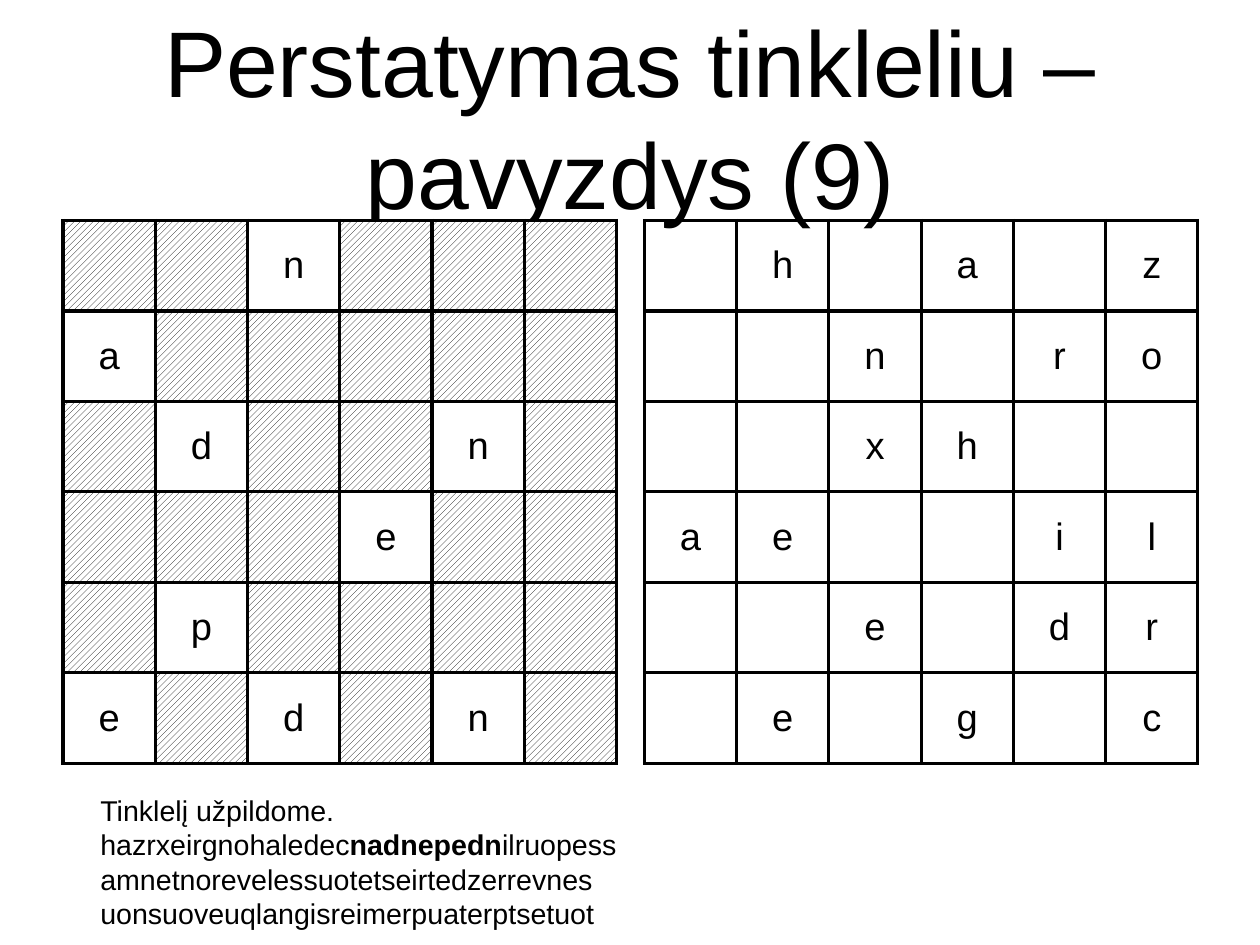
from lxml import etree
from pptx import Presentation
from pptx.dml.color import RGBColor
from pptx.enum.dml import MSO_PATTERN
from pptx.enum.text import MSO_ANCHOR, MSO_AUTO_SIZE, PP_ALIGN
from pptx.oxml.ns import qn
from pptx.util import Cm, Pt

CENTER = PP_ALIGN.CENTER
MIDDLE = MSO_ANCHOR.MIDDLE
NO_AUTOFIT = MSO_AUTO_SIZE.NONE
HATCH = MSO_PATTERN.WIDE_UPWARD_DIAGONAL

FONT = "Arial"
BLACK = "000000"
WHITE = "FFFFFF"
TITLE = "Perstatymas tinkleliu – pavyzdys (9)"
GRILLE = ["  n   ", "a     ", " d  n ", "   e  ", " p    ", "e d n "]
LETTERS = [" h a z", "  n ro", "  xh  ", "ae  il", "  e dr", " e g c"]
NOTE = [
    [("Tinklelį užpildome.", False)],
    [("hazrxeirgnohaledec", False), ("nadnepedn", True), ("ilruopess", False)],
    [("amnetnorevelessuotetseirtedzerrevnes", False)],
    [("uonsuoveuqlangisreimerpuaterptsetuot", False)],
]

LEFT = 1.4
GRID_TOP = 4.9
GRID_STEP = 12.92
CELL_WIDTH = 2.05
CELL_HEIGHT = 2.01
BORDER = Pt(2.27)


def color(value):
    return RGBColor.from_string(value)


def write(para, text, size, bold=False, align=None):
    span = para.add_run()
    span.text = text
    span.font.name = FONT
    span.font.size = Pt(size)
    span.font.bold = bold
    span.font.color.rgb = color(BLACK)
    if align is not None:
        para.alignment = align


def outline(cell):
    properties = cell._tc.get_or_add_tcPr()
    for side in ("lnL", "lnR", "lnT", "lnB"):
        line = etree.SubElement(properties, qn(f"a:{side}"), w=str(BORDER))
        fill = etree.SubElement(line, qn("a:solidFill"))
        etree.SubElement(fill, qn("a:srgbClr"), val=BLACK)


def hatch(cell):
    cell.fill.patterned()
    cell.fill.pattern = HATCH
    cell.fill.fore_color.rgb = color(BLACK)
    cell.fill.back_color.rgb = color(WHITE)


def add_grid(page, rows, left, hatched):
    count_rows, count_columns = len(rows), len(rows[0])
    grid = page.shapes.add_table(
        count_rows, count_columns, Cm(left), Cm(GRID_TOP),
        Cm(CELL_WIDTH * count_columns), Cm(CELL_HEIGHT * count_rows),
    ).table
    grid.first_row = False
    grid.horz_banding = False
    for row_index, row in enumerate(rows):
        for column_index, letter in enumerate(row):
            cell = grid.cell(row_index, column_index)
            cell.vertical_anchor = MIDDLE
            outline(cell)
            if letter == " " and hatched:
                hatch(cell)
            else:
                cell.fill.background()
            if letter != " ":
                write(cell.text_frame.paragraphs[0], letter, 24, align=CENTER)


def add_title(page):
    title = page.shapes.title
    title.left, title.top = Cm(LEFT), Cm(0.28)
    title.width, title.height = Cm(25.2), Cm(4.62)
    frame = title.text_frame
    frame.margin_left = frame.margin_right = 0
    frame.margin_top = frame.margin_bottom = 0
    frame.auto_size = NO_AUTOFIT
    frame.word_wrap = True
    frame.vertical_anchor = MIDDLE
    write(frame.paragraphs[0], TITLE, 58.7, align=CENTER)


def add_note(page):
    box = page.shapes.add_textbox(Cm(1.98), Cm(17.5), Cm(19.2), Cm(3.1))
    frame = box.text_frame
    frame.word_wrap = True
    for index, spans in enumerate(NOTE):
        para = frame.add_paragraph() if index else frame.paragraphs[0]
        for text, bold in spans:
            write(para, text, 18, bold=bold)


def main():
    deck = Presentation()
    deck.slide_width, deck.slide_height = Cm(28), Cm(21)
    page = deck.slides.add_slide(deck.slide_layouts[5])
    add_title(page)
    for index, (rows, hatched) in enumerate([(GRILLE, True), (LETTERS, False)]):
        add_grid(page, rows, LEFT + index * GRID_STEP, hatched)
    add_note(page)
    deck.save("out.pptx")


if __name__ == "__main__":
    main()
